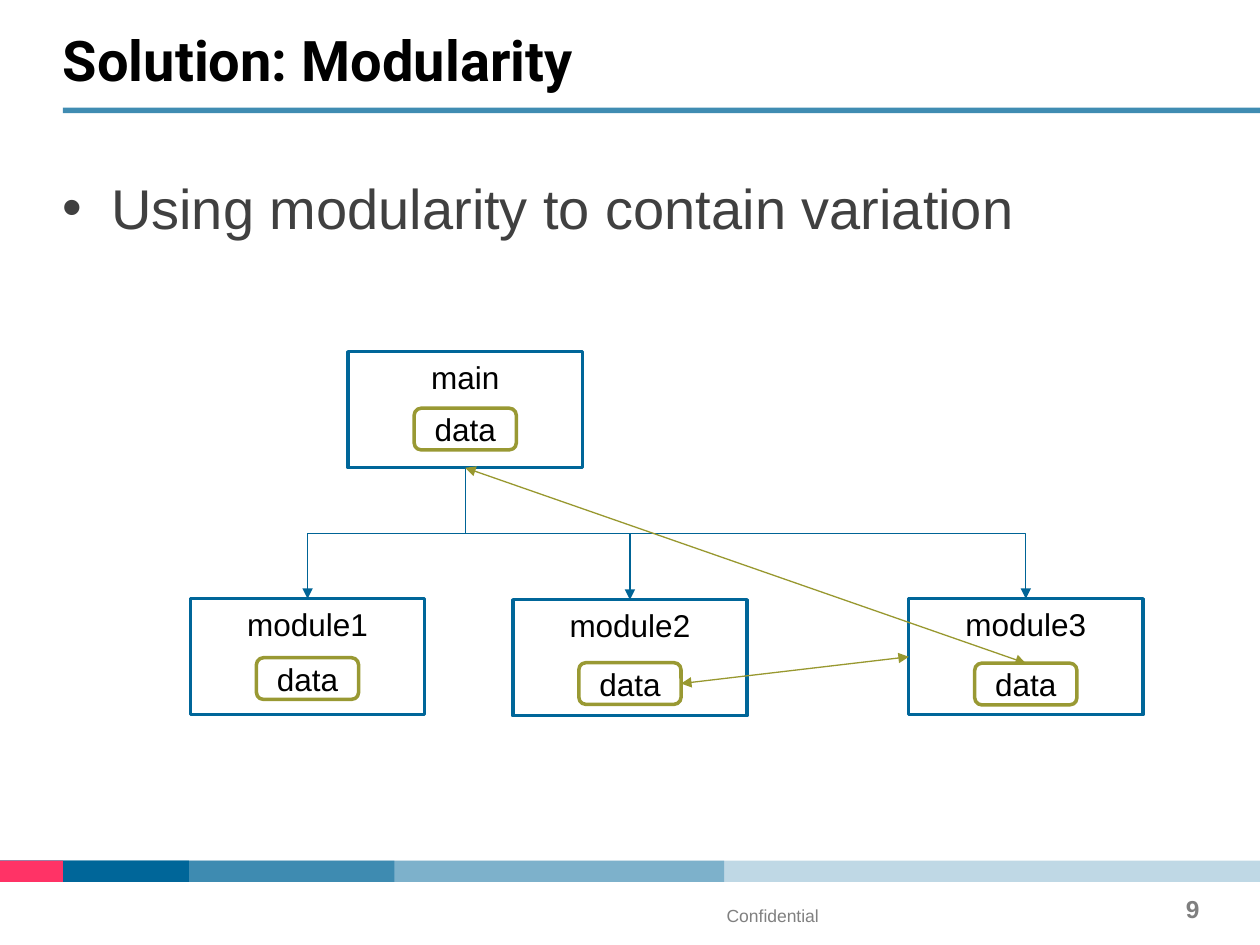
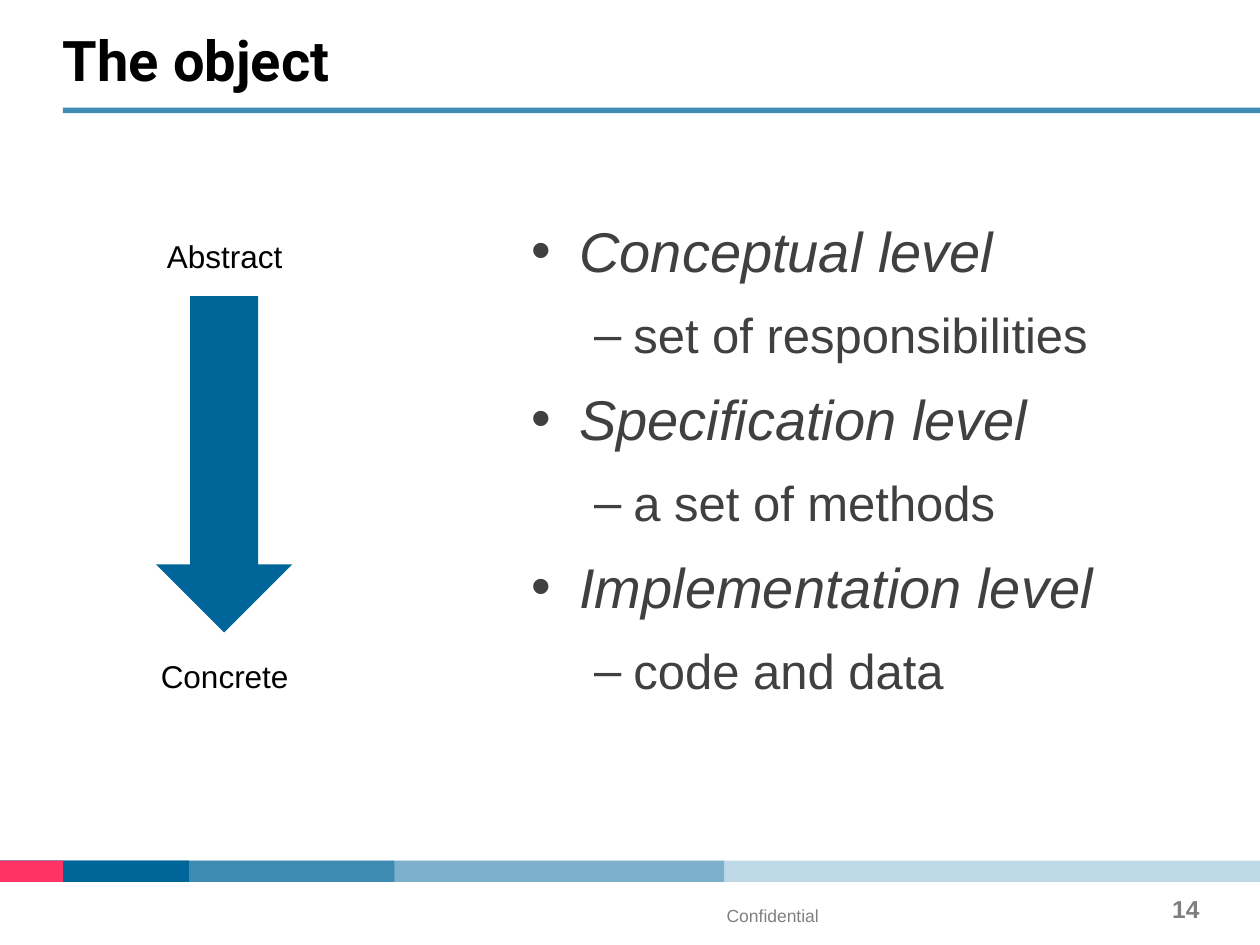
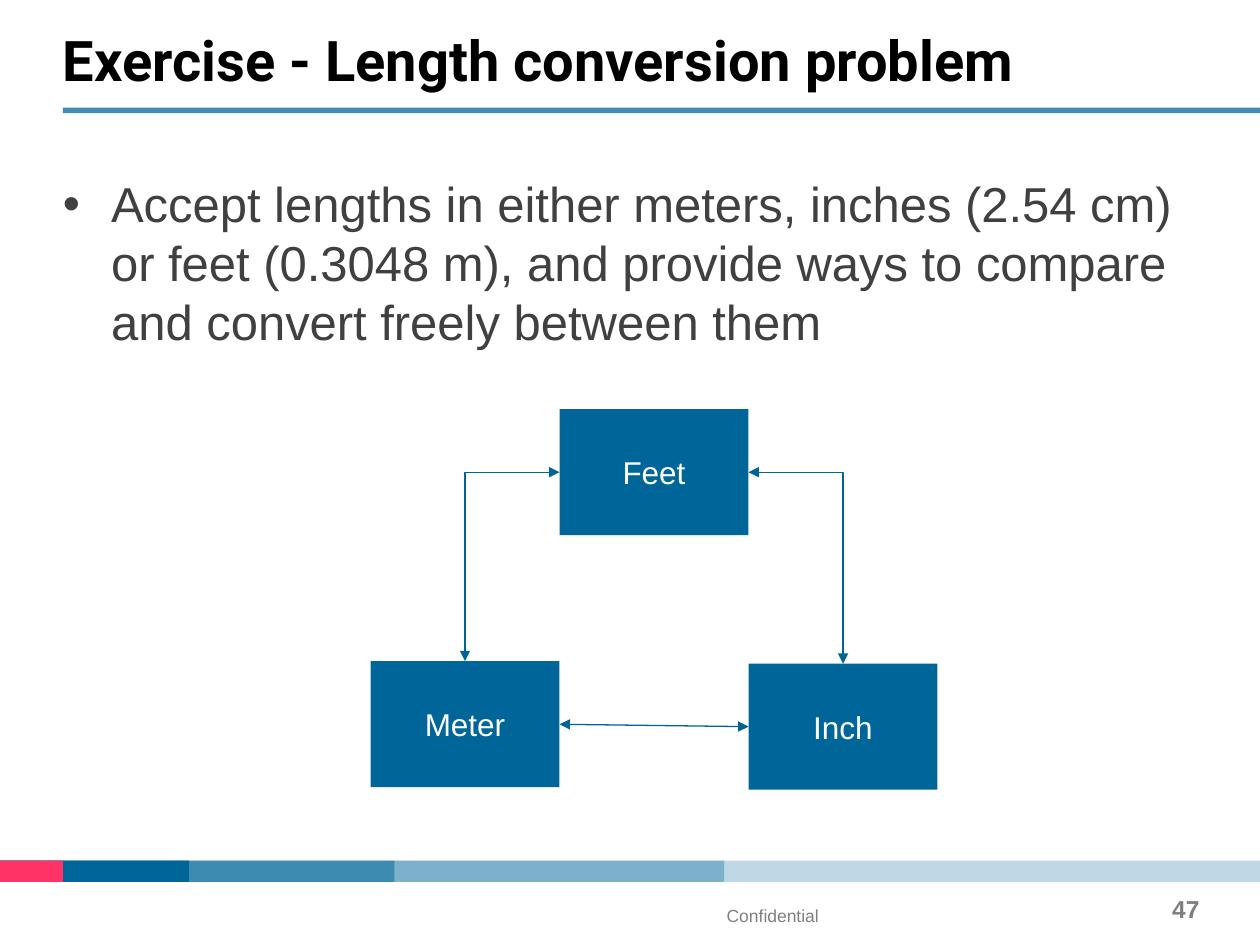
"""Build three lecture slides on modularity and objects."""
from lxml import etree
from pptx import Presentation
from pptx import util as u
from pptx.dml import color
from pptx.enum import shapes, text
from pptx.oxml import ns

BLUE, LINE_BLUE, PINK = "006699", "006496", "FF3366"
OLIVE, LINE_OLIVE = "999933", "98982F"
BLACK, WHITE, DARK, GREY, MID_GREY = "000000", "FFFFFF", "404040", "808080", "7F7F7F"
BODY_FONT, TITLE_FONT = "Arial", "Roboto"
SLIDE_W, SLIDE_H = 25.4, 19.05
BANDS = [(25.4, BLUE, 25), (14.6, BLUE, 34), (7.95, BLUE, 50), (3.81, BLUE, 100), (1.27, PINK, 100)]
LEVELS = [("•", 0.97, 0.97), ("–", 2.06, 0.79)]
BODY_BOX = (1.02, 3.38, 23.37, 13.54)
RECT = shapes.MSO_SHAPE.RECTANGLE
LEFT, CENTER, RIGHT = text.PP_ALIGN.LEFT, text.PP_ALIGN.CENTER, text.PP_ALIGN.RIGHT
TOP, MIDDLE = text.MSO_ANCHOR.TOP, text.MSO_ANCHOR.MIDDLE


def rgb(value):
    """Return the colour for a hex string."""
    return color.RGBColor.from_string(value)


def cm(*values):
    """Return the values as lengths in centimetres."""
    return [u.Cm(v) for v in values]


def sub(parent, tag, **attrs):
    """Append a DrawingML element."""
    return etree.SubElement(parent, ns.qn(tag), attrs)


def style_runs(p, size, tint, font=BODY_FONT, bold=False, italic=False):
    """Format every run of a paragraph."""
    for r in p.runs:
        r.font.size, r.font.name = u.Pt(size), font
        r.font.bold, r.font.italic = bold, italic
        r.font.color.rgb = rgb(tint)


def write(sp, words, size, tint, align=LEFT, anchor=TOP, margins=None, wrap=True, **style):
    """Put one formatted paragraph into a shape and return it."""
    tf = sp.text_frame
    tf.text, tf.word_wrap, tf.vertical_anchor = words, wrap, anchor
    if margins:
        tf.margin_left, tf.margin_top, tf.margin_right, tf.margin_bottom = cm(*margins)
    p = tf.paragraphs[0]
    p.alignment = align
    style_runs(p, size, tint, **style)
    return p


def add_box(s, box, fill, line=None, kind=RECT, alpha=100):
    """Add a filled shape, outlined if a line colour is given."""
    sp = s.shapes.add_shape(kind, *cm(*box))
    sp.shadow.inherit = False
    sp.fill.solid()
    sp.fill.fore_color.rgb = rgb(fill)
    if alpha < 100:
        srgb = sp.element.spPr.find(".//" + ns.qn("a:srgbClr"))
        sub(srgb, "a:alpha", val=str(alpha * 1000))
    if line:
        sp.line.color.rgb, sp.line.width = rgb(line), u.Pt(2)
    else:
        sp.line.fill.background()
    return sp


def add_label(s, box, words, size, tint, **options):
    """Add a text box holding one paragraph and return the paragraph."""
    return write(s.shapes.add_textbox(*cm(*box)), words, size, tint, **options)


def add_arrow(s, start, end, tint, kind=shapes.MSO_CONNECTOR.STRAIGHT, both=True):
    """Add a thin connector with a triangle at one end or both."""
    c = s.shapes.add_connector(kind, *cm(*start, *end))
    c.line.color.rgb, c.line.width = rgb(tint), u.Pt(0.75)
    ln = c.line._get_or_add_ln()
    if both:
        sub(ln, "a:headEnd", type="triangle")
    sub(ln, "a:tailEnd", type="triangle")
    sub(c.element.spPr, "a:effectLst")
    return c


def add_corner(s, start, end):
    """Add a double arrow that runs sideways and then down."""
    c = add_arrow(s, start, end, LINE_BLUE, shapes.MSO_CONNECTOR.ELBOW)
    c.element.spPr.find(ns.qn("a:prstGeom")).set("prst", "bentConnector2")


def add_branch(s, start, end):
    """Add an arrow that runs down, sideways and down again."""
    (x1, y1), (x2, y2) = start, end
    cx, cy = (x1 + x2) / 2, (y1 + y2) / 2
    half_w = (y2 - y1) / 2 * (1 if x2 > x1 else -1)
    half_h = abs(x2 - x1) / 2
    c = add_arrow(s, (cx + half_w, cy - half_h), (cx - half_w, cy + half_h), LINE_BLUE,
                  shapes.MSO_CONNECTOR.ELBOW, both=False)
    turn = 270 if x2 > x1 else 90
    c.element.spPr.find(ns.qn("a:xfrm")).set("rot", str(turn * 60000))


def add_title(s, box, words):
    """Draw the slide title above its rule."""
    x, y, w, h = box
    add_box(s, (x, y + h - 0.11, w, 0.11), BLUE, alpha=75)
    p = add_label(s, box, words, 32, BLACK, font=TITLE_FONT, bold=True,
                  margins=(0, 0.13, 0.25, 0.38))
    p.line_spacing = u.Pt(28)


def add_footer(s, box, number):
    """Draw the stacked bands, the notice and the slide number."""
    x, y, _, _ = box
    for width, tint, alpha in BANDS:
        add_box(s, (x, y, width, 0.43), tint, alpha=alpha)
    add_label(s, (x + 14.4, y + 0.76, 8.46, 0.94), "Confidential", 10, GREY,
              margins=(0.25, 0.13, 0.25, 0))
    add_label(s, (x + 22.83, y + 0.68, 1.35, 1.02), str(number), 14, MID_GREY,
              align=RIGHT, bold=True, margins=(0, 0, 0, 0))


def add_bullets(s, box, items):
    """Fill a box with bullets given as level, size, italic and words."""
    tf = s.shapes.add_textbox(*cm(*box)).text_frame
    tf.word_wrap = True
    for i, (level, size, italic, words) in enumerate(items):
        p = tf.add_paragraph() if i else tf.paragraphs[0]
        p.text = words
        p.space_before = p.space_after = u.Pt(6)
        style_runs(p, size, DARK, italic=italic)
        mark, margin, hang = LEVELS[level]
        pPr = p._p.get_or_add_pPr()
        pPr.set("marL", str(u.Cm(margin)))
        pPr.set("indent", str(-u.Cm(hang)))
        sub(pPr, "a:buFont", typeface=BODY_FONT)
        sub(pPr, "a:buChar", char=mark)


def add_module(s, box, name, drop):
    """Draw a module with its data and return the data box."""
    x, y, w, _ = box
    write(add_box(s, box, WHITE, BLUE), name, 18, BLACK, CENTER)
    data = (x + (w - 2.06) / 2, y + drop, 2.06, 0.84)
    sp = add_box(s, data, WHITE, OLIVE, shapes.MSO_SHAPE.ROUNDED_RECTANGLE)
    write(sp, "data", 18, BLACK, CENTER, MIDDLE, (0, 0, 0, 0))
    return data


def add_module_tree(s, box):
    """Draw main, its three modules and the links between them."""
    x, y, _, _ = box
    w, h = 4.72, 2.34
    main = (x + 3.18, y, w, h)
    add_module(s, main, "main", 1.14)
    root = (main[0] + w / 2, y + h)
    data = []
    for i, (dx, dy, drop) in enumerate([(0, 4.98, 1.19), (6.5, 5, 1.27), (14.48, 4.98, 1.3)], 1):
        data.append(add_module(s, (x + dx, y + dy, w, h), f"module{i}", drop))
        add_branch(s, root, (x + dx + w / 2, y + dy))
    _, second, third = data
    add_arrow(s, (second[0] + second[2], second[1] + second[3] / 2),
              (x + 14.48, y + 4.98 + h / 2), LINE_OLIVE)
    add_arrow(s, (third[0] + third[2] / 2, third[1]), root, LINE_OLIVE)


def add_abstraction_scale(s, box):
    """Draw the arrow leading from abstract to concrete."""
    x, y, w, h = box
    add_box(s, (x + 0.18, y + 1.32, 2.74, 6.78), BLUE, kind=shapes.MSO_SHAPE.DOWN_ARROW)
    for words, top in [("Abstract", y), ("Concrete", y + h - 1.02)]:
        add_label(s, (x, top, w, 1.02), words, 18, BLACK, align=CENTER, wrap=False)


def add_unit_triangle(s, box):
    """Draw the three length units and the conversions between them."""
    x, y, _, _ = box
    w, h = 3.81, 2.54
    feet, meter, inch = (x + w, y), (x, y + 5.08), (x + 2 * w, y + 5.13)
    for name, corner in [("Feet", feet), ("Meter", meter), ("Inch", inch)]:
        write(add_box(s, (*corner, w, h), BLUE), name, 18, WHITE, CENTER, MIDDLE)
    side = y + h / 2
    add_corner(s, (feet[0], side), (meter[0] + w / 2, meter[1]))
    add_corner(s, (feet[0] + w, side), (inch[0] + w / 2, inch[1]))
    add_arrow(s, (inch[0], inch[1] + h / 2), (meter[0] + w, meter[1] + h / 2), LINE_BLUE)


def add_slide(prs, title, number):
    """Add a blank slide with the shared title and footer."""
    s = prs.slides.add_slide(prs.slide_layouts[6])
    add_footer(s, (0, 17.35, SLIDE_W, 1.7), number)
    add_title(s, (1.27, 0.76, 24.13, 1.52), title)
    return s


def main():
    """Build and save the presentation."""
    prs = Presentation()
    prs.slide_width, prs.slide_height = cm(SLIDE_W, SLIDE_H)

    s = add_slide(prs, "Solution: Modularity", 9)
    add_bullets(s, BODY_BOX, [(0, 32, False, "Using modularity to contain variation")])
    add_module_tree(s, (3.84, 7.09, 19.2, 7.34))

    s = add_slide(prs, "The object", 14)
    levels = [("Conceptual level", "set of responsibilities"),
              ("Specification level", "a set of methods"),
              ("Implementation level", "code and data")]
    items = []
    for level, meaning in levels:
        items += [(0, 32, True, level), (1, 28, False, meaning)]
    add_bullets(s, (10.46, 4.24, 16.33, 13.06), items)
    add_abstraction_scale(s, (2.97, 4.65, 3.12, 9.5))

    s = add_slide(prs, "Exercise - Length conversion problem", 47)
    add_bullets(s, BODY_BOX, [(0, 28, False, "Accept lengths in either meters, inches (2.54 cm) "
                               "or feet (0.3048 m), and provide ways to compare "
                               "and convert freely between them")])
    add_unit_triangle(s, (7.47, 8.25, 11.43, 7.67))

    prs.save("out.pptx")


if __name__ == "__main__":
    main()
